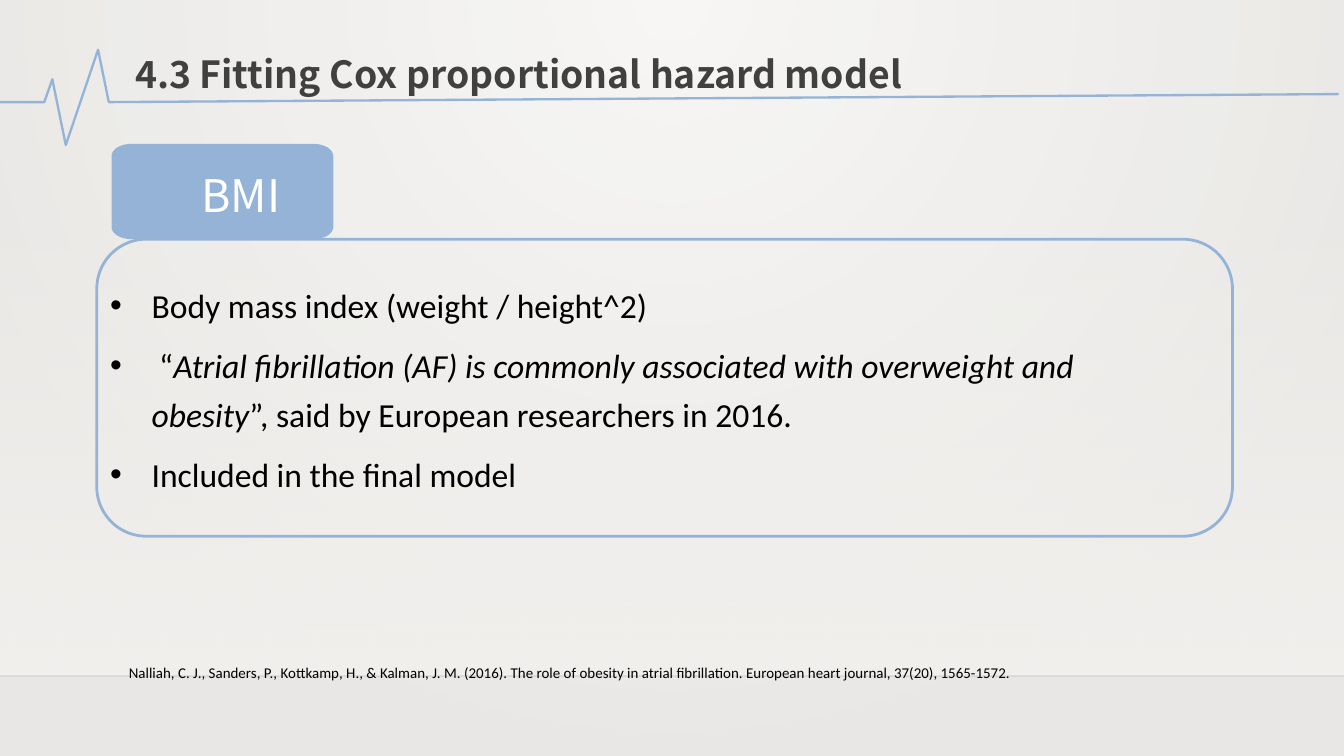
"""Build the BMI slide of the Cox proportional hazard model section."""
from math import cos, radians, sin

from lxml.etree import SubElement
from pptx import Presentation
from pptx.dml.color import RGBColor
from pptx.enum.shapes import MSO_CONNECTOR as CONN, MSO_SHAPE as SHAPE
from pptx.enum.text import MSO_AUTO_SIZE as AUTO, PP_ALIGN as ALIGN
from pptx.oxml.ns import qn
from pptx.util import Inches, Pt

W = 10
H = W * 9 / 16
HORIZON = 5.03
BLUE = RGBColor(0x95, 0xB3, 0xD7)
WHITE = RGBColor(0xFF, 0xFF, 0xFF)
BLACK = RGBColor(0, 0, 0)
DARK = RGBColor(0x40, 0x40, 0x40)
SAND = RGBColor(0xDF, 0xDB, 0xD5)
BG_LIGHT = RGBColor(0xEC, 0xEA, 0xE7)
BG_DARK = RGBColor(0xCA, 0xC7, 0xC1)
HEAD, BODY = "Noto Sans CJK SC", "Calibri"

TITLE = "4.3 Fitting Cox proportional hazard model"
LABEL = "BMI"
BULLETS = [
    [("Body mass index (weight / height^2)", False)],
    [(" “", False),
     ("Atrial fibrillation (AF) is commonly associated with overweight and obesity", True),
     ("”, said by European researchers in 2016.", False)],
    [("Included in the final model", False)],
]
CITATION = ("Nalliah, C. J., Sanders, P., Kottkamp, H., & Kalman, J. M. (2016). "
            "The role of obesity in atrial fibrillation. "
            "European heart journal, 37(20), 1565-1572.")
PULSE = [(0, 0.76), (0.33, 0.76), (0.39, 0.59), (0.49, 1.08),
         (0.73, 0.37), (0.81, 0.76), (9.96, 0.7)]
TAB = (0.83, 1.07, 1.65, 0.71)
TAB_CORNER = (0.15, 0.09)


def set_alpha(fill_xml, percents):
    for clr, percent in zip(fill_xml.iter(qn("a:srgbClr")), percents):
        SubElement(clr, qn("a:alpha")).set("val", str(percent * 1000))


def set_gradient(fill, colors):
    fill.gradient()
    for stop, color in zip(fill.gradient_stops, colors):
        stop.color.rgb = color


def add_panel(slide, kind, box):
    s = slide.shapes.add_shape(kind, *map(Inches, box))
    s.shadow.inherit = False
    s.fill.background()
    s.line.fill.background()
    return s


def add_outline(slide, points, close):
    start, *rest = [(Inches(x), Inches(y)) for x, y in points]
    fb = slide.shapes.build_freeform(*start)
    fb.add_line_segments(rest, close=close)
    s = fb.convert_to_shape()
    s.shadow.inherit = False
    return s


def rounded_points(box, corner, steps=8):
    x, y, w, h = box
    rx, ry = corner
    centers = [(x + w - rx, y + h - ry), (x + rx, y + h - ry),
               (x + rx, y + ry), (x + w - rx, y + ry)]
    return [(cx + rx * cos(a), cy + ry * sin(a))
            for i, (cx, cy) in enumerate(centers)
            for a in (radians(90 * (i + k / steps)) for k in range(steps + 1))]


def add_text(slide, box, paragraphs, size, font, color, wrap=True):
    tf = slide.shapes.add_textbox(*map(Inches, box)).text_frame
    tf.word_wrap = wrap
    tf.auto_size = AUTO.SHAPE_TO_FIT_TEXT
    for i, runs in enumerate(paragraphs):
        p = tf.paragraphs[0] if i == 0 else tf.add_paragraph()
        for text, italic in runs:
            r = p.add_run()
            r.text = text
            r.font.size, r.font.name, r.font.italic = Pt(size), font, italic
            r.font.color.rgb = color
    return tf


def add_bullets(tf):
    for i, p in enumerate(tf.paragraphs):
        p.line_spacing = 1.2
        p.space_before = Pt(6.4 if i else 0)
        ppr = p._p.get_or_add_pPr()
        ppr.set("marL", str(Inches(0.31)))
        ppr.set("indent", str(-Inches(0.31)))
        SubElement(ppr, qn("a:buFont")).set("typeface", "Arial")
        SubElement(ppr, qn("a:buChar")).set("char", "•")


def add_backdrop(slide):
    set_gradient(slide.background.fill, (BG_LIGHT, BG_DARK))
    grad = slide.element.find(".//" + qn("a:gradFill"))
    grad.remove(grad.find(qn("a:lin")))
    circle = SubElement(grad, qn("a:path"))
    circle.set("path", "circle")
    rect = SubElement(circle, qn("a:fillToRect"))
    for side, share in zip("ltrb", (43, 0, 43, 100)):
        rect.set(side, str(share * 1000))

    wall = add_panel(slide, SHAPE.RECTANGLE, (0, 1.66, W, HORIZON - 1.66))
    set_gradient(wall.fill, (SAND, SAND))
    wall.fill.gradient_angle = 270
    set_alpha(wall.element.spPr, (0, 100))

    horizon = slide.shapes.add_connector(
        CONN.STRAIGHT, 0, Inches(HORIZON), Inches(W), Inches(HORIZON))
    horizon.line.color.rgb = BLACK
    horizon.line.width = Pt(1)
    set_alpha(horizon.element.spPr, (20,))
    SubElement(horizon.element.spPr, qn("a:effectLst"))

    veil = add_panel(slide, SHAPE.RECTANGLE, (0, 0, W, H))
    veil.fill.solid()
    veil.fill.fore_color.rgb = WHITE
    set_alpha(veil.element.spPr, (59,))

    pulse = add_outline(slide, PULSE, close=False)
    pulse.fill.background()
    pulse.line.color.rgb = BLUE
    pulse.line.width = Pt(1.25)


def add_content(slide):
    frame = add_panel(slide, SHAPE.ROUNDED_RECTANGLE, (0.72, 1.78, 8.45, 2.21))
    frame.line.color.rgb = BLUE
    frame.line.width = Pt(1.5)

    tab = add_outline(slide, rounded_points(TAB, TAB_CORNER), close=True)
    tab.fill.solid()
    tab.fill.fore_color.rgb = BLUE
    tab.line.fill.background()

    add_text(slide, (1.4, 1.2, 0.84, 0.5), [[(LABEL, False)]], 24, HEAD, WHITE, wrap=False)
    add_bullets(add_text(slide, (0.72, 2.01, 8.29, 1.69), BULLETS, 18, BODY, BLACK))
    add_text(slide, (0.86, 4.89, 8.55, 0.24), [[(CITATION, False)]], 8, BODY, BLACK)
    title = add_text(slide, (0.79, 0.33, 6.14, 0.44), [[(TITLE, False)]],
                     20, HEAD, DARK, wrap=False).paragraphs[0]
    title.alignment = ALIGN.CENTER
    title.runs[0].font.bold = True


def main():
    prs = Presentation()
    prs.slide_width, prs.slide_height = Inches(W), Inches(H)
    slide = prs.slides.add_slide(prs.slide_layouts[6])
    add_backdrop(slide)
    add_content(slide)
    prs.save("out.pptx")


if __name__ == "__main__":
    main()
